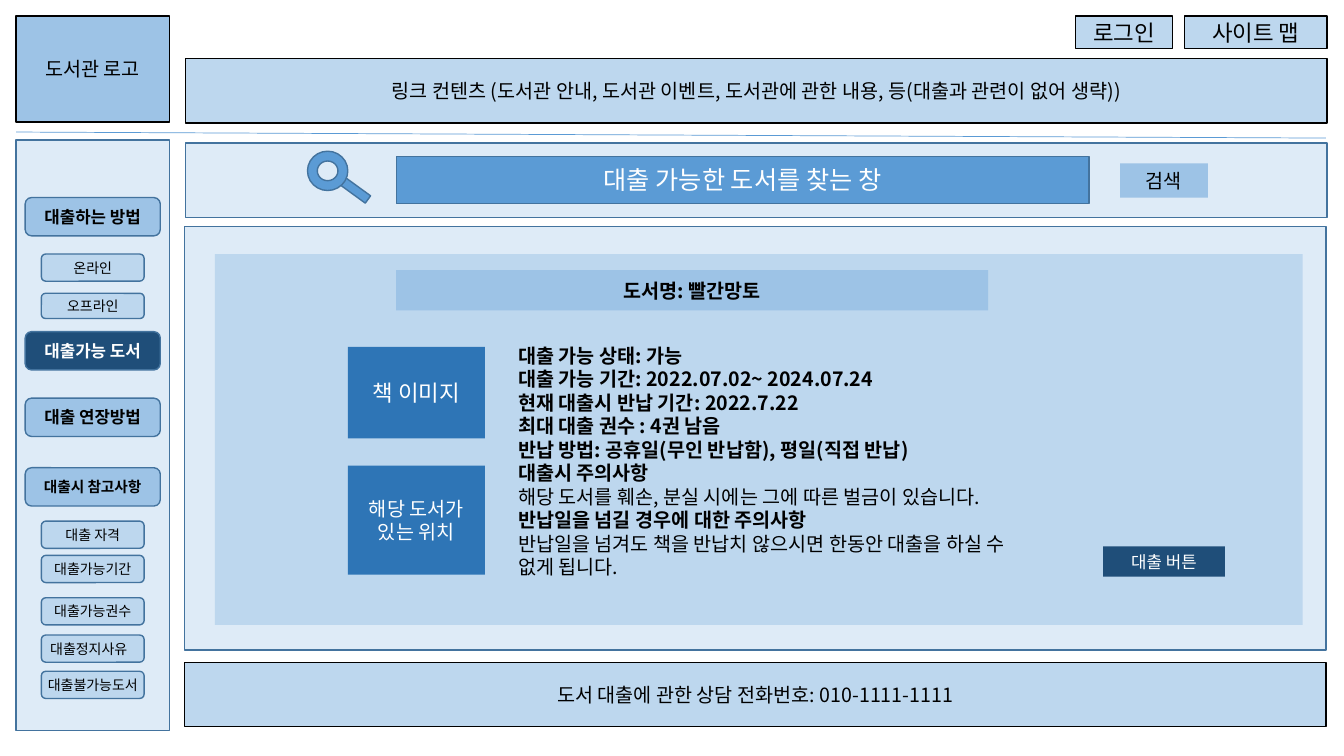
from dataclasses import dataclass

from lxml.etree import SubElement
from pptx import Presentation
from pptx.dml.color import RGBColor
from pptx.enum.shapes import MSO_CONNECTOR, MSO_SHAPE
from pptx.enum.text import MSO_ANCHOR, PP_ALIGN
from pptx.oxml.ns import qn
from pptx.util import Emu, Pt

PX = 9144


@dataclass(frozen=True)
class Theme:
    font: str = "Noto Sans CJK KR"
    black: str = "000000"
    white: str = "FFFFFF"
    pale: str = "DEEBF7"
    light: str = "BDD7EE"
    soft: str = "9DC3E6"
    mid: str = "5B9BD5"
    strong: str = "2E75B6"
    navy: str = "1F4E79"
    edge: str = "43739E"
    search: int = 18
    link: int = 16
    body: int = 14
    menu: int = 12
    long_menu: float = 10.5
    submenu: int = 10
    leading: float = 1.2


THEME = Theme()


@dataclass(frozen=True)
class Box:
    left: int
    top: int
    width: int
    height: int

    def inside(self, left, top, width, height):
        return Box(self.left + left, self.top + top, width, height)

    def emu(self):
        return [Emu(value * PX) for value in (self.left, self.top, self.width, self.height)]


def style_paragraph(para, text, size, color, bold=False, align=PP_ALIGN.CENTER):
    para.text = text
    para.alignment = align
    para.line_spacing = Pt(size * THEME.leading)
    font = para.font
    font.size = Pt(size)
    font.bold = bold
    font.color.rgb = RGBColor.from_string(color)
    font.name = THEME.font
    SubElement(para._p.pPr.find(qn("a:defRPr")), qn("a:ea"), typeface=THEME.font)


def add_panel(page, box, fill, line=None, kind=MSO_SHAPE.RECTANGLE):
    panel = page.shapes.add_shape(kind, *box.emu())
    panel.shadow.inherit = False
    panel.fill.solid()
    panel.fill.fore_color.rgb = RGBColor.from_string(fill)
    if line:
        panel.line.color.rgb = RGBColor.from_string(line)
        panel.line.width = Pt(1)
    else:
        panel.line.fill.background()
    return panel


def add_label(page, box, text, size, fill, line=None, color=THEME.black, bold=False,
              kind=MSO_SHAPE.RECTANGLE, inset=10, right_shift=0):
    frame = add_panel(page, box, fill, line, kind).text_frame
    frame.word_wrap = True
    frame.vertical_anchor = MSO_ANCHOR.MIDDLE
    frame.margin_top = frame.margin_bottom = 0
    frame.margin_left = Emu(inset * PX)
    frame.margin_right = Emu((inset + right_shift) * PX)
    style_paragraph(frame.paragraphs[0], text, size, color, bold)


def add_header(page, box):
    add_label(page, box.inside(0, 0, 152, 105), "도서관 로고", THEME.body, THEME.soft, THEME.black)
    for left, width, text in ((1051, 96, "로그인"), (1159, 141, "사이트 맵")):
        add_label(page, box.inside(left, 0, width, 32), text, THEME.link, THEME.light, THEME.black)
    add_label(page, box.inside(168, 42, 1132, 64),
              "링크 컨텐츠 (도서관 안내, 도서관 이벤트, 도서관에 관한 내용, 등(대출과 관련이 없어 생략))",
              THEME.body, THEME.light, THEME.black)
    ends = (box.left, box.top + 115, box.left + 1299, box.top + 121)
    divider = page.shapes.add_connector(MSO_CONNECTOR.STRAIGHT, *[Emu(end * PX) for end in ends])
    divider.line.color.rgb = RGBColor.from_string(THEME.mid)
    divider.line.width = Pt(0.5)
    SubElement(divider._element.spPr, qn("a:effectLst"))


def add_sidebar(page, box):
    add_panel(page, box, THEME.pale, THEME.edge)
    menu = (
        (57, "대출하는 방법", THEME.menu, THEME.soft, THEME.black),
        (190, "대출가능 도서", THEME.menu, THEME.navy, THEME.white),
        (256, "대출 연장방법", THEME.menu, THEME.soft, THEME.black),
        (325, "대출시 참고사항", THEME.long_menu, THEME.soft, THEME.black),
    )
    for top, text, size, fill, color in menu:
        add_label(page, box.inside(9, top, 134, 38), text, size, fill, THEME.edge, color,
                  bold=True, kind=MSO_SHAPE.ROUNDED_RECTANGLE, inset=0)
    submenu = (
        (113, 27, "온라인", 0),
        (152, 25, "오프라인", 0),
        (378, 27, "대출 자격", 0),
        (412, 27, "대출가능기간", 0),
        (454, 27, "대출가능권수", 0),
        (491, 27, "대출정지사유", 8),
        (527, 27, "대출불가능도서", 0),
    )
    for top, height, text, shift in submenu:
        add_label(page, box.inside(25, top, 102, height), text, THEME.submenu, THEME.light,
                  THEME.edge, kind=MSO_SHAPE.ROUNDED_RECTANGLE, inset=0, right_shift=shift)


def add_search_bar(page, box):
    add_panel(page, box, THEME.pale, THEME.edge)
    add_label(page, box.inside(209, 13, 687, 47), "대출 가능한 도서를 찾는 창",
              THEME.search, THEME.mid, THEME.edge, THEME.white)
    handle = add_panel(page, box.inside(152, 42, 32, 9), THEME.mid, THEME.edge)
    handle.rotation = 36
    add_panel(page, box.inside(121, 8, 40, 39), THEME.mid, THEME.edge, MSO_SHAPE.DONUT)
    add_label(page, box.inside(927, 20, 87, 34), "검색", THEME.body, THEME.soft)


def add_loan_details(page, box):
    details = page.shapes.add_textbox(*box.emu())
    frame = details.text_frame
    frame.word_wrap = True
    lines = (
        ("대출 가능 상태: 가능", True),
        ("대출 가능 기간: 2022.07.02~ 2024.07.24", True),
        ("현재 대출시 반납 기간: 2022.7.22", True),
        ("최대 대출 권수 : 4권 남음", True),
        ("반납 방법: 공휴일(무인 반납함), 평일(직접 반납)", True),
        ("대출시 주의사항", True),
        ("해당 도서를 훼손, 분실 시에는 그에 따른 벌금이 있습니다.", False),
        ("반납일을 넘길 경우에 대한 주의사항", True),
        ("반납일을 넘겨도 책을 반납치 않으시면 한동안 대출을 하실 수 없게 됩니다.", False),
    )
    for index, (text, bold) in enumerate(lines):
        para = frame.add_paragraph() if index else frame.paragraphs[0]
        style_paragraph(para, text, THEME.body, THEME.black, bold, PP_ALIGN.LEFT)


def add_book_panel(page, box):
    add_panel(page, box, THEME.pale, THEME.edge)
    add_panel(page, box.inside(30, 27, 1079, 368), THEME.light)
    add_label(page, box.inside(210, 43, 587, 40), "도서명: 빨간망토", THEME.body,
              THEME.soft, bold=True)
    add_label(page, box.inside(162, 119, 136, 91), "책 이미지", THEME.link,
              THEME.strong, color=THEME.white)
    add_label(page, box.inside(162, 237, 136, 108), "해당 도서가 있는 위치", THEME.body,
              THEME.strong, color=THEME.white)
    add_loan_details(page, box.inside(321, 111, 540, 246))
    add_label(page, box.inside(911, 317, 121, 30), "대출 버튼", THEME.menu,
              THEME.navy, color=THEME.white)


def add_footer(page, box):
    add_label(page, box, "도서 대출에 관한 상담 전화번호: 010-1111-1111", THEME.body,
              THEME.light, THEME.black)


def main():
    deck = Presentation()
    deck.slide_width = Emu(1333 * PX)
    deck.slide_height = Emu(750 * PX)
    page = deck.slides.add_slide(deck.slide_layouts[6])
    add_header(page, Box(16, 16, 1300, 121))
    add_sidebar(page, Box(16, 139, 152, 586))
    add_search_bar(page, Box(184, 142, 1132, 74))
    add_book_panel(page, Box(183, 225, 1132, 420))
    add_footer(page, Box(183, 657, 1132, 64))
    deck.save("out.pptx")


if __name__ == "__main__":
    main()
